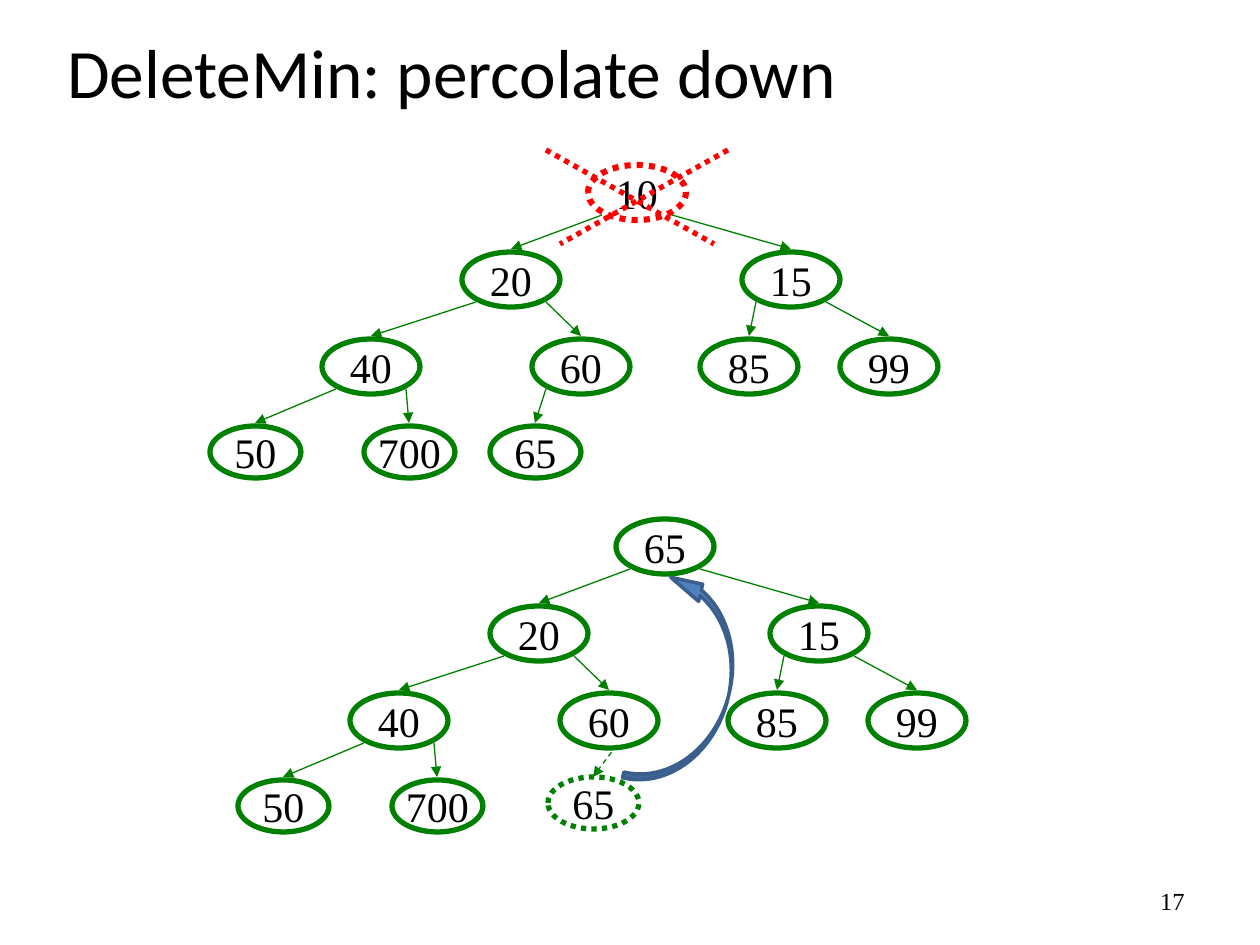
"""Build a slide that shows deleteMin on a binary heap as two trees."""
from dataclasses import dataclass
from typing import Optional

from lxml.etree import SubElement
from pptx import Presentation
from pptx.dml.color import RGBColor
from pptx.enum.dml import MSO_LINE_DASH_STYLE as Dash
from pptx.enum.shapes import MSO_CONNECTOR_TYPE as Connector, MSO_SHAPE as Shape
from pptx.enum.text import MSO_ANCHOR as Anchor, PP_ALIGN as Align
from pptx.oxml.ns import qn
from pptx.util import Emu, Pt


@dataclass(frozen=True)
class Theme:
    ink: RGBColor = RGBColor(0x00, 0x00, 0x00)
    tree: RGBColor = RGBColor(0x00, 0x80, 0x00)
    deleted: RGBColor = RGBColor(0xFF, 0x00, 0x00)
    arrow_fill: RGBColor = RGBColor(0x4F, 0x81, 0xBD)
    arrow_line: RGBColor = RGBColor(0x3A, 0x5F, 0x8C)
    title_font: str = "Calibri"
    body_font: str = "Times New Roman"
    title_size: float = 39.6
    node_size: float = 24
    number_size: float = 14


@dataclass(frozen=True)
class Stroke:
    color: RGBColor
    width: float
    dash: Optional[Dash] = None


@dataclass(frozen=True)
class Node:
    key: str
    left: int
    top: int
    stroke: Stroke
    width: int = 98
    height: int = 55


THEME = Theme()
SOLID = Stroke(THEME.tree, 3)
MOVED = Stroke(THEME.tree, 3, Dash.ROUND_DOT)
DELETED = Stroke(THEME.deleted, 3.5, Dash.ROUND_DOT)
CROSS = Stroke(THEME.deleted, 3, Dash.ROUND_DOT)
EDGE = Stroke(THEME.tree, 0.75)
CUT_EDGE = Stroke(THEME.tree, 0.75, Dash.DASH)
LEVEL_TOPS = (165, 252, 339, 426)
LEVEL_LEFTS = ((588,), (462, 742), (322, 532, 700, 840), (210, 364, 490))
KEYS = (("20", "15"), ("40", "60", "85", "99"), ("50", "700", "65"))


def px(length: int) -> Emu:
    """Turn px into EMU."""
    return Emu(round(length * 914400 / 126))


def apply_stroke(line, stroke: Stroke) -> None:
    """Set colour, width and dash of a line."""
    line.color.rgb = stroke.color
    line.width = Pt(stroke.width)
    if stroke.dash is not None:
        line.dash_style = stroke.dash


def write(shape, text: str, font: str, size: float, align: Align, wrap: bool) -> None:
    """Put one run of text into a shape."""
    frame = shape.text_frame
    frame.word_wrap = wrap
    frame.vertical_anchor = Anchor.MIDDLE
    para = frame.paragraphs[0]
    para.alignment = align
    span = para.add_run()
    span.text = text
    span.font.name = font
    span.font.size = Pt(size)
    span.font.color.rgb = THEME.ink


def add_label(page, text: str, left: int, top: int, width: int, height: int,
              font: str, size: float, align: Align) -> None:
    """Add a text box."""
    box = page.shapes.add_textbox(px(left), px(top), px(width), px(height))
    write(box, text, font, size, align, True)


def add_line(page, start: tuple[int, int], end: tuple[int, int],
             stroke: Stroke, arrow: bool = True) -> None:
    """Add a straight line, with an arrowhead at its end if asked."""
    line = page.shapes.add_connector(
        Connector.STRAIGHT, px(start[0]), px(start[1]), px(end[0]), px(end[1]))
    apply_stroke(line.line, stroke)
    if arrow:
        SubElement(line.line._get_or_add_ln(), qn("a:tailEnd"), type="triangle")
    SubElement(line._element.spPr, qn("a:effectLst"))


def add_node(page, node: Node) -> None:
    """Add one heap node."""
    oval = page.shapes.add_shape(
        Shape.OVAL, px(node.left), px(node.top), px(node.width), px(node.height))
    oval.shadow.inherit = False
    oval.fill.background()
    apply_stroke(oval.line, node.stroke)
    write(oval, node.key, THEME.body_font, THEME.node_size, Align.CENTER, False)


def add_edge(page, parent: Node, child: Node, is_right: bool) -> None:
    """Join a parent's lower corner to the top of its child."""
    start = (parent.left + (84 if is_right else 14), parent.top + 50)
    end = (child.left + child.width // 2, child.top - 3)
    add_line(page, start, end, EDGE)


def make_tree(root_key: str, root_stroke: Stroke, right: int = 0, down: int = 0) -> list[Node]:
    """List the nodes of a heap in level order, shifted by right and down."""
    nodes = []
    for level, keys in enumerate(((root_key,), *KEYS)):
        size = (91, 52) if level == 3 else (98, 55)
        for key, left in zip(keys, LEVEL_LEFTS[level]):
            stroke = SOLID if level else root_stroke
            nodes.append(Node(key, left + right, LEVEL_TOPS[level] + down, stroke, *size))
    return nodes


def add_tree(page, nodes: list[Node]) -> None:
    """Draw all nodes of a heap and the edges between them."""
    for index, node in enumerate(nodes):
        add_node(page, node)
        if index:
            add_edge(page, nodes[(index - 1) // 2], node, index % 2 == 0)


def add_move_arrow(page) -> None:
    """Add the curved arrow from the last leaf to the root."""
    arrow = page.shapes.add_shape(Shape.CURVED_UP_ARROW, px(581), px(641), px(215), px(84))
    arrow.rotation = 283.5
    for index, value in enumerate((0.07, 0.21, 0.39)):
        arrow.adjustments[index] = value
    arrow.shadow.inherit = False
    arrow.fill.solid()
    arrow.fill.fore_color.rgb = THEME.arrow_fill
    apply_stroke(arrow.line, Stroke(THEME.arrow_line, 2))


def main() -> None:
    """Build and save the deck."""
    deck = Presentation()
    deck.slide_width, deck.slide_height = px(1260), px(945)
    page = deck.slides.add_slide(deck.slide_layouts[6])
    add_label(page, "DeleteMin: percolate down", 55, 24, 1162, 94,
              THEME.title_font, THEME.title_size, Align.LEFT)
    add_label(page, "17", 903, 876, 294, 50,
              THEME.body_font, THEME.number_size, Align.RIGHT)
    add_tree(page, make_tree("10", DELETED))
    add_line(page, (546, 150), (714, 244), CROSS, arrow=False)
    add_line(page, (728, 150), (560, 244), CROSS, arrow=False)
    add_tree(page, make_tree("65", SOLID, right=28, down=354)[:-1])
    add_node(page, Node("65", 548, 777, MOVED, 91, 52))
    add_line(page, (617, 745), (593, 777), CUT_EDGE)
    add_move_arrow(page)
    deck.save("out.pptx")


if __name__ == "__main__":
    main()
